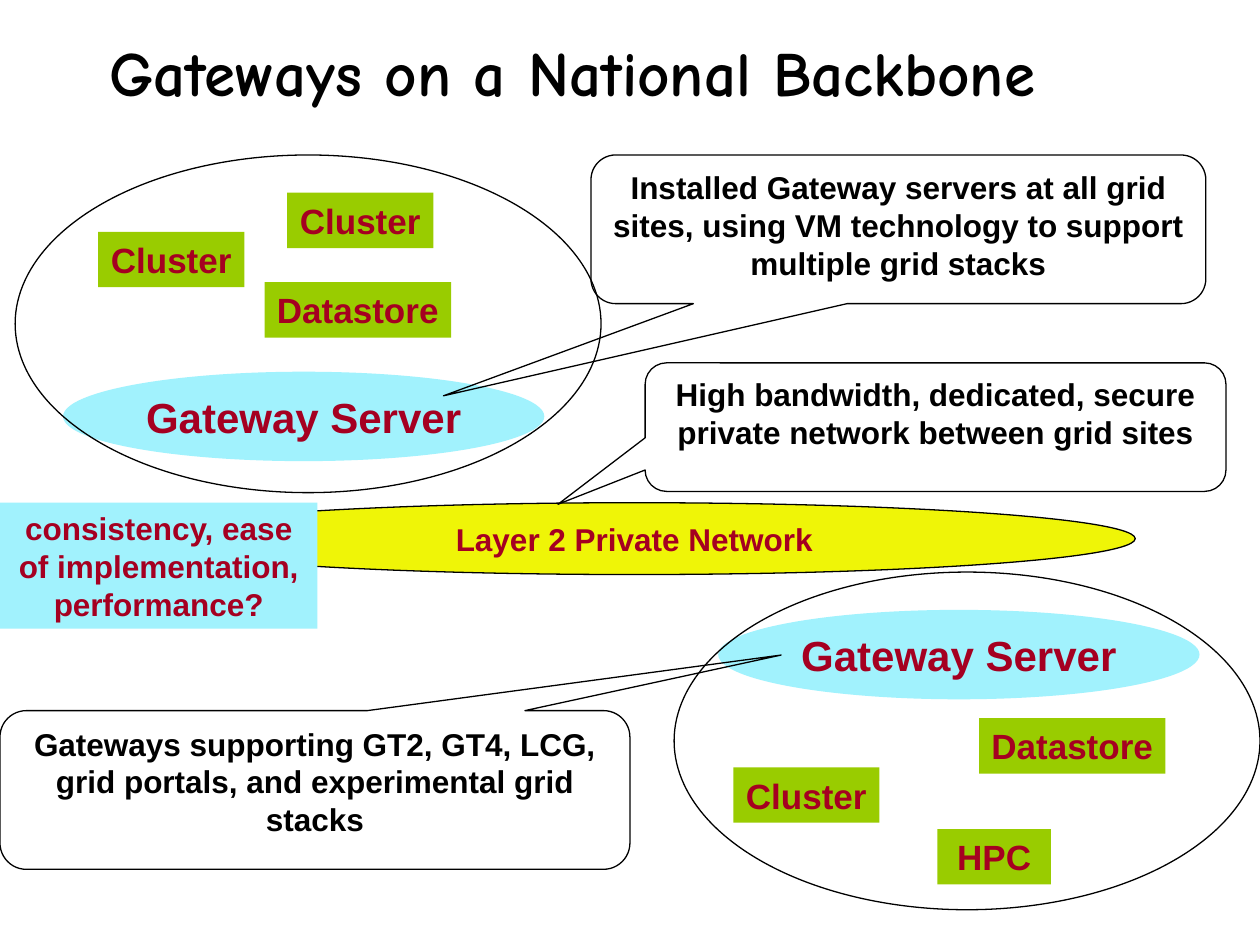
from pptx import Presentation
from pptx.dml.color import RGBColor
from pptx.enum.shapes import MSO_SHAPE
from pptx.enum.text import MSO_ANCHOR, PP_ALIGN
from pptx.util import Inches, Pt

OVAL = MSO_SHAPE.OVAL
RECT = MSO_SHAPE.RECTANGLE
CALLOUT = MSO_SHAPE.ROUNDED_RECTANGULAR_CALLOUT
TOP, MIDDLE = MSO_ANCHOR.TOP, MSO_ANCHOR.MIDDLE
CENTER = PP_ALIGN.CENTER

BLACK, RED, GREEN = "000000", "A50021", "99CC00"
CYAN, YELLOW = "A1F2FD", "EFF507"


def write(shape, text, size, color=RED, face="Arial", anchor=MIDDLE, wrap=True):
    """Put one centred bold paragraph in the shape."""
    frame = shape.text_frame
    frame.text = text
    layout = {"vertical_anchor": anchor, "word_wrap": wrap}
    for key, value in layout.items():
        setattr(frame, key, value)
    para = frame.paragraphs[0]
    para.alignment = CENTER
    style = {"name": face, "size": Pt(size), "bold": True}
    for key, value in style.items():
        setattr(para.font, key, value)
    para.font.color.rgb = RGBColor.from_string(color)


def draw(kind, box, fill=None, line=None):
    """Add a shape at box (left, top, width, height in inches)."""
    shape = slide.shapes.add_shape(kind, *map(Inches, box))
    shape.shadow.inherit = False
    if fill:
        shape.fill.solid()
        shape.fill.fore_color.rgb = RGBColor.from_string(fill)
    else:
        shape.fill.background()
    if line:
        shape.line.color.rgb = RGBColor.from_string(line)
        shape.line.width = Pt(0.75)
    else:
        shape.line.fill.background()
    return shape


deck = Presentation()
deck.slide_width, deck.slide_height = Inches(10), Inches(7.5)
slide = deck.slides.add_slide(deck.slide_layouts[5])

title = slide.shapes.title
place = {"left": 0.04, "top": 0.14, "width": 9, "height": 0.85}
for key, value in place.items():
    setattr(title, key, Inches(value))
write(title, "Gateways on a National Backbone", 36, BLACK, "Comic Neue")

network = draw(OVAL, (1.06, 3.99, 7.95, 0.57), YELLOW, BLACK)
write(network, "Layer 2 Private Network", 18)

# Each site: outline corner, gateway corner, resources (text, left, top, width)
sites = [
    ((5.35, 4.54), (5.7, 4.84), [
        ("Cluster", 5.82, 6.09, 1.16),
        ("Datastore", 7.77, 5.7, 1.48),
        ("HPC", 7.44, 6.58, 0.9),
    ]),
    ((0.12, 1.23), (0.5, 2.95), [
        ("Cluster", 2.28, 1.53, 1.16),
        ("Datastore", 2.1, 2.24, 1.48),
        ("Cluster", 0.78, 1.84, 1.16),
    ]),
]
for site, gateway, resources in sites:
    server = draw(OVAL, (*gateway, 3.82, 0.71), CYAN)
    write(server, "Gateway Server", 24, wrap=False)
    for text, left, top, width in resources:
        node = draw(RECT, (left, top, width, 0.44), GREEN)
        write(node, text, 20, wrap=False)
    draw(OVAL, (*site, 4.65, 2.68), line=BLACK)

# Each callout: box, pointer tip relative to its centre, text
callouts = [
    ((4.69, 1.23, 4.88, 1.18), (-0.74, 1.12),
     "Installed Gateway servers at all grid sites, "
     "using VM technology to support multiple grid stacks"),
    ((0, 5.64, 5, 1.26), (0.74, -0.85),
     "Gateways supporting GT2, GT4, LCG, "
     "grid portals, and experimental grid stacks"),
    ((5.12, 2.88, 4.61, 1.02), (-0.65, 0.6),
     "High bandwidth, dedicated, secure "
     "private network between grid sites"),
]
for box, tip, text in callouts:
    note = draw(CALLOUT, box, line=BLACK)
    note.adjustments[0], note.adjustments[1] = tip
    write(note, text, 18, BLACK, anchor=TOP)

question = draw(RECT, (0, 3.99, 2.52, 1), CYAN)
write(question, "consistency, ease of implementation, performance?", 18, anchor=TOP)

deck.save("out.pptx")
